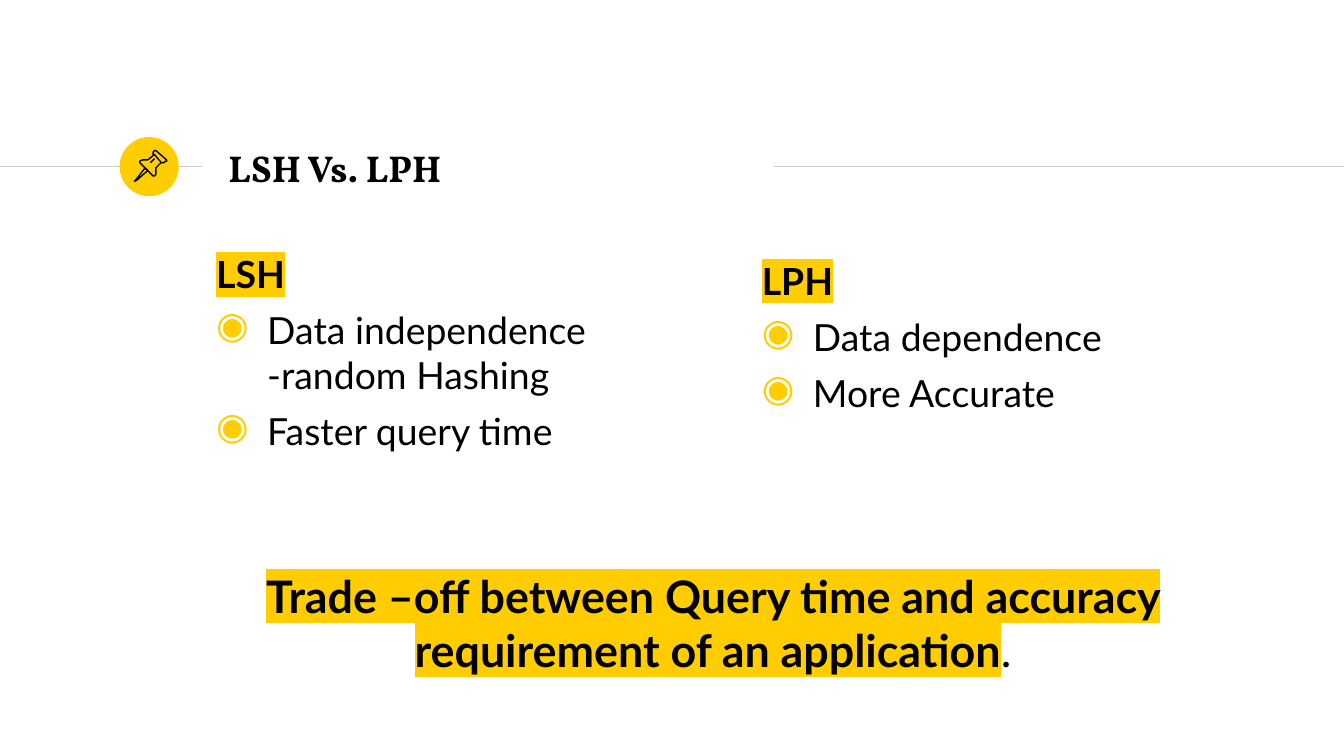
from dataclasses import dataclass

from lxml.etree import SubElement
from pptx import Presentation
from pptx.dml.color import RGBColor
from pptx.enum.shapes import MSO_CONNECTOR, MSO_SHAPE
from pptx.enum.text import MSO_ANCHOR, MSO_AUTO_SIZE, PP_ALIGN
from pptx.oxml.ns import qn
from pptx.util import Inches, Pt

YELLOW = "FFCD00"
BLACK = "000000"
GRAY = "CCCCCC"
PAGE_WIDTH = 10
PAGE_HEIGHT = PAGE_WIDTH * 9 / 16
BULLET_INDENT = Inches(0.38)
RULE_Y = 1.24


@dataclass
class Column:
    left: float
    top: float
    heading: str
    points: list[str]


@dataclass
class Stroke:
    points: list[tuple[int, int]]
    closed: bool


COLUMNS = [
    Column(1.51, 1.77, "LSH", ["Data independence -random Hashing", "Faster query time"]),
    Column(5.57, 1.82, "LPH", ["Data dependence", "More Accurate"]),
]

PIN_STROKES = [
    Stroke([(108, 125), (101, 134), (100, 135), (102, 134), (110, 127)], True),
    Stroke([(115, 115), (120, 121), (122, 121), (123, 120), (124, 120),
            (124, 119), (116, 112), (115, 112), (114, 113), (114, 115)], True),
    Stroke([(115, 115), (110, 119), (108, 119), (106, 119), (104, 120),
            (104, 121), (114, 131), (115, 131), (116, 130), (116, 128),
            (116, 125), (120, 121)], False),
    Stroke([(112, 121), (115, 118)], False),
]


def color(value: str) -> RGBColor:
    return RGBColor.from_string(value)


def format_frame(frame, anchor=MSO_ANCHOR.TOP) -> None:
    margin = Inches(0.1)
    values = {
        "word_wrap": True,
        "auto_size": MSO_AUTO_SIZE.NONE,
        "vertical_anchor": anchor,
        "margin_left": margin,
        "margin_right": margin,
        "margin_top": margin,
        "margin_bottom": margin,
    }
    for name, value in values.items():
        setattr(frame, name, value)


def add_span(para, text: str, size: int, bold: bool = False,
             highlight: bool = False, font: str = "Lato") -> None:
    span = para.add_run()
    span.text = text
    for name, value in {"name": font, "size": Pt(size), "bold": bold}.items():
        setattr(span.font, name, value)
    span.font.color.rgb = color(BLACK)
    if highlight:
        properties = span.font._element
        marker = SubElement(properties, qn("a:highlight"))
        SubElement(marker, qn("a:srgbClr")).set("val", YELLOW)
        properties.find(qn("a:solidFill")).addnext(marker)


def add_bullet(para) -> None:
    properties = para._p.get_or_add_pPr()
    properties.set("marL", str(BULLET_INDENT))
    properties.set("indent", str(-BULLET_INDENT))
    tint = SubElement(properties, qn("a:buClr"))
    SubElement(tint, qn("a:srgbClr")).set("val", YELLOW)
    SubElement(properties, qn("a:buChar")).set("char", "◉")


def add_text_box(slide, left: float, top: float, width: float, height: float):
    box = slide.shapes.add_textbox(Inches(left), Inches(top), Inches(width), Inches(height))
    format_frame(box.text_frame)
    return box.text_frame


def add_rule(slide, start: float, end: float) -> None:
    rule = slide.shapes.add_connector(
        MSO_CONNECTOR.STRAIGHT, Inches(start), Inches(RULE_Y), Inches(end), Inches(RULE_Y))
    rule.line.color.rgb = color(GRAY)
    rule.line.width = Pt(0.75)
    SubElement(rule._element.spPr, qn("a:effectLst"))


def add_badge(slide) -> None:
    badge = slide.shapes.add_shape(
        MSO_SHAPE.OVAL, Inches(0.89), Inches(1.02), Inches(0.44), Inches(0.44))
    badge.shadow.inherit = False
    badge.fill.solid()
    badge.fill.fore_color.rgb = color(YELLOW)
    badge.line.fill.background()


def add_pin_stroke(slide, stroke: Stroke) -> None:
    start, *rest = stroke.points
    builder = slide.shapes.build_freeform(*start, scale=Inches(0.01))
    builder.add_line_segments(rest, close=stroke.closed)
    outline = builder.convert_to_shape()
    outline.shadow.inherit = False
    outline.fill.background()
    outline.line.color.rgb = color(BLACK)
    outline.line.width = Pt(0.75)


def add_title(slide) -> None:
    title = slide.shapes.title
    bounds = {"left": 1.6, "top": 1.01, "width": 4.24, "height": 0.48}
    for name, value in bounds.items():
        setattr(title, name, Inches(value))
    format_frame(title.text_frame, MSO_ANCHOR.MIDDLE)
    para = title.text_frame.paragraphs[0]
    para.alignment = PP_ALIGN.LEFT
    add_span(para, "LSH Vs. LPH", 20, bold=True, font="Vollkorn")


def add_column(slide, column: Column) -> None:
    frame = add_text_box(slide, column.left, column.top, 3.75, 3.53)
    heading = frame.paragraphs[0]
    heading.space_before = Pt(6)
    add_span(heading, column.heading, 20, bold=True, highlight=True)
    for point in column.points:
        para = frame.add_paragraph()
        para.space_before = Pt(6)
        add_bullet(para)
        add_span(para, point, 20)


def add_conclusion(slide) -> None:
    para = add_text_box(slide, 1.46, 4.13, 7.69, 0.85).paragraphs[0]
    para.alignment = PP_ALIGN.CENTER
    para.space_before = Pt(6)
    add_span(para, "Trade –off between Query time and accuracy requirement of an application",
             24, bold=True, highlight=True)
    add_span(para, ".", 24)


def main() -> None:
    deck = Presentation()
    deck.slide_width = Inches(PAGE_WIDTH)
    deck.slide_height = Inches(PAGE_HEIGHT)
    page = deck.slides.add_slide(deck.slide_layouts[5])
    add_rule(page, 0, 1.5)
    add_badge(page)
    add_rule(page, 5.76, PAGE_WIDTH)
    add_title(page)
    for column in COLUMNS:
        add_column(page, column)
    add_conclusion(page)
    for stroke in PIN_STROKES:
        add_pin_stroke(page, stroke)
    deck.save("out.pptx")


if __name__ == "__main__":
    main()
